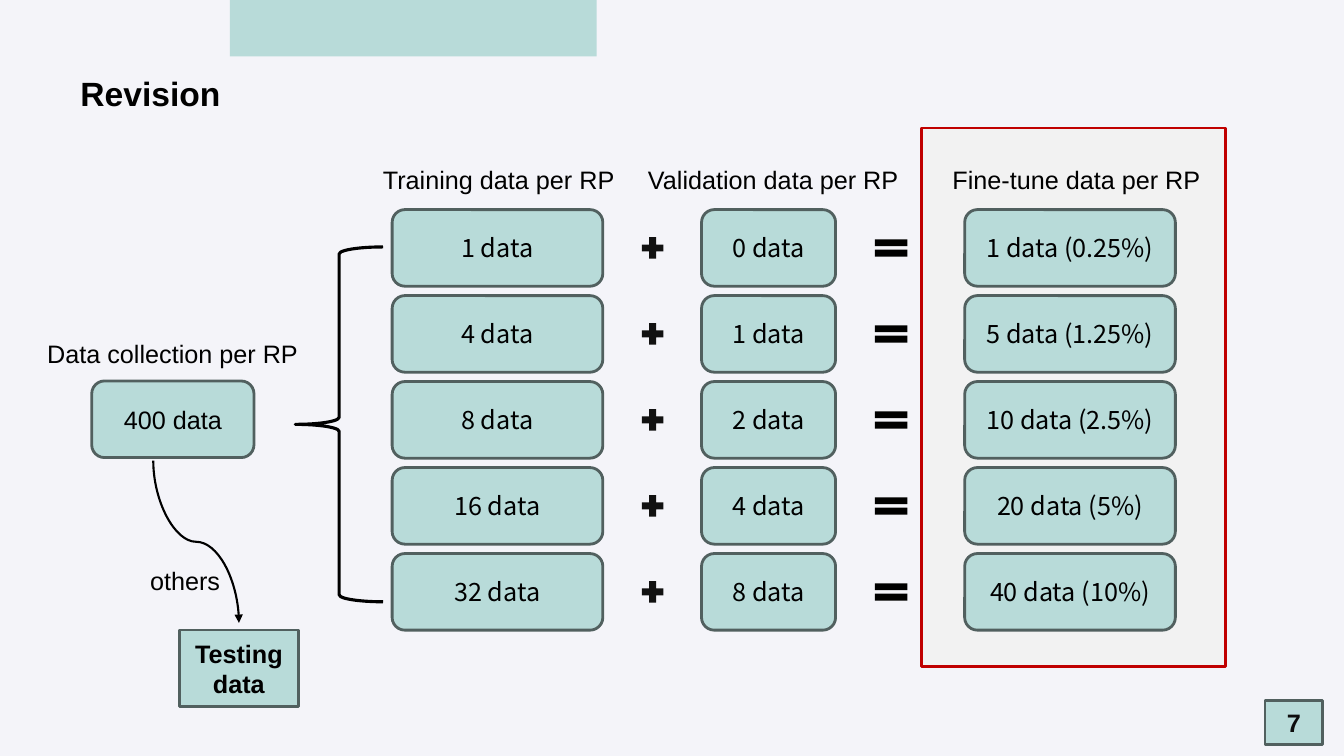
from dataclasses import dataclass

from lxml import etree
from pptx import Presentation
from pptx import util as u
from pptx.dml.color import RGBColor
from pptx.enum import shapes, text
from pptx.oxml.ns import qn

MSO = shapes.MSO_SHAPE
CELL = u.Inches(0.1)  # one column or row of the slide grid
COLS, ROWS = 133.33, 75


@dataclass(frozen=True)
class Theme:
    back: str = "F4F4F9"
    mint: str = "B8DBD9"
    edge: str = "51605F"
    panel: str = "F2F2F2"
    red: str = "C00000"
    black: str = "000000"
    plus: str = "111111"
    number: str = "0D0D0D"
    font: str = "Arial"
    data_font: str = "Noto Sans CJK SC"
    title: int = 24
    body: int = 18


T = Theme()


def place(box, x, y, w, h):
    """Grid cells counted from the corner of box, as slide lengths."""
    return [round(n * CELL) for n in (box[0] + x, box[1] + y, w, h)]


def write(sp, words, align=None, **fmt):
    tf = sp.text_frame
    tf.word_wrap = True
    p = tf.paragraphs[0]
    p.alignment = align
    r = p.add_run()
    r.text = words
    color = fmt.pop("color", T.black)
    r.font.color.rgb = RGBColor.from_string(color)
    for key, value in {"name": T.font, "size": T.body, **fmt}.items():
        setattr(r.font, key, u.Pt(value) if key == "size" else value)


def label(slide, at, words, **fmt):
    sp = slide.shapes.add_textbox(*at)
    write(sp, words, **fmt)
    sp.text_frame.auto_size = text.MSO_AUTO_SIZE.SHAPE_TO_FIT_TEXT


def block(slide, kind, at, fill=None, line=None, width=2, words=None, **fmt):
    sp = slide.shapes.add_shape(kind, *at)
    sp.shadow.inherit = False
    if fill:
        sp.fill.solid()
        sp.fill.fore_color.rgb = RGBColor.from_string(fill)
    else:
        sp.fill.background()
    if line:
        sp.line.color.rgb = RGBColor.from_string(line)
        sp.line.width = u.Pt(width)
    else:
        sp.line.fill.background()
    if words:
        sp.text_frame.vertical_anchor = text.MSO_ANCHOR.MIDDLE
        write(sp, words, text.PP_ALIGN.CENTER, **fmt)
    return sp


def card(slide, at, words, kind=MSO.ROUNDED_RECTANGLE, **fmt):
    block(slide, kind, at, T.mint, T.edge, words=words, **fmt)


def frame(slide, box):
    # Top band, page number and title
    block(slide, MSO.RECTANGLE, place(box, 22.8, 0, 36.4, 5.6), T.mint)
    card(slide, place(box, 125.5, 69.5, 5.7, 4.4), "7", MSO.RECTANGLE,
         bold=True, color=T.number)
    label(slide, place(box, 7, 6.7, 101.3, 5), "Revision", size=T.title, bold=True)


def curved_arrow(slide, at):
    """S-curve leaving the top left of at and ending at its bottom right."""
    x, y, w, h = at
    cx, cy = x + w // 2, y + h // 2
    c = slide.shapes.add_connector(
        shapes.MSO_CONNECTOR.CURVE,
        cx + h // 2, cy - w // 2, cx - h // 2, cy + w // 2)
    c.line.color.rgb = RGBColor.from_string(T.black)
    c.line.width = u.Pt(1.5)
    sp_pr = c._element.spPr
    sp_pr.find(qn("a:xfrm")).set("rot", str(270 * 60000))
    etree.SubElement(sp_pr.find(qn("a:ln")), qn("a:tailEnd"), type="triangle")
    etree.SubElement(sp_pr, qn("a:effectLst"))


def collection(slide, box):
    # Collected data and the remainder used for testing
    label(slide, place(box, 0, 0, 27.6, 4), "Data collection per RP")
    card(slide, place(box, 5.4, 4.7, 16.1, 7.6), "400 data")
    curved_arrow(slide, place(box, 11.5, 12.6, 8.5, 16.1))
    card(slide, place(box, 14.1, 29.4, 11.8, 7.6), "Testing data",
         MSO.RECTANGLE, bold=True)
    label(slide, place(box, 10.2, 22.5, 11.8, 4), "others")


def split(slide, box):
    # Red panel and brace
    block(slide, MSO.RECTANGLE, place(box, 62.1, 0, 30.2, 53.4), T.panel, T.red)
    brace = block(slide, MSO.LEFT_BRACE, place(box, 0, 11.8, 8.7, 35.2),
                  line=T.black, width=2.25)
    brace.adjustments[0], brace.adjustments[1] = 0.08, 0.5

    # Column: heading, heading left and width, card left and width, values
    columns = [
        ("Training data per RP", 7.7, 26.3, 9.6, 20.9,
         ["1 data", "4 data", "8 data", "16 data", "32 data"]),
        ("Validation data per RP", 34, 28.1, 40.3, 13.3,
         ["0 data", "1 data", "2 data", "4 data", "8 data"]),
        ("Fine-tune data per RP", 64.2, 28.1, 66.4, 20.9,
         ["1 data (0.25%)", "5 data (1.25%)", "10 data (2.5%)",
          "20 data (5%)", "40 data (10%)"]),
    ]
    signs = [(MSO.MATH_PLUS, 34, 2.9, T.plus), (MSO.MATH_EQUAL, 56.9, 4.4, T.black)]
    tops = [8.1 + 8.53 * i for i in range(5)]
    card_h, sign_h = 7.6, 2.9

    for heading, head_x, head_w, x, w, values in columns:
        label(slide, place(box, head_x, 3.1, head_w, 4), heading)
        for top, value in zip(tops, values):
            card(slide, place(box, x, top, w, card_h), value, name=T.data_font)
    for kind, x, w, color in signs:
        for top in tops:
            y = top + (card_h - sign_h) / 2
            block(slide, kind, place(box, x, y, w, sign_h), color)


def main():
    prs = Presentation()
    prs.slide_width, prs.slide_height = round(COLS * CELL), ROWS * CELL
    slide = prs.slides.add_slide(prs.slide_layouts[6])
    slide.background.fill.solid()
    slide.background.fill.fore_color.rgb = RGBColor.from_string(T.back)
    frame(slide, (0, 0))
    split(slide, (29.3, 12.7))
    collection(slide, (3.7, 33.1))
    prs.save("out.pptx")


if __name__ == "__main__":
    main()
